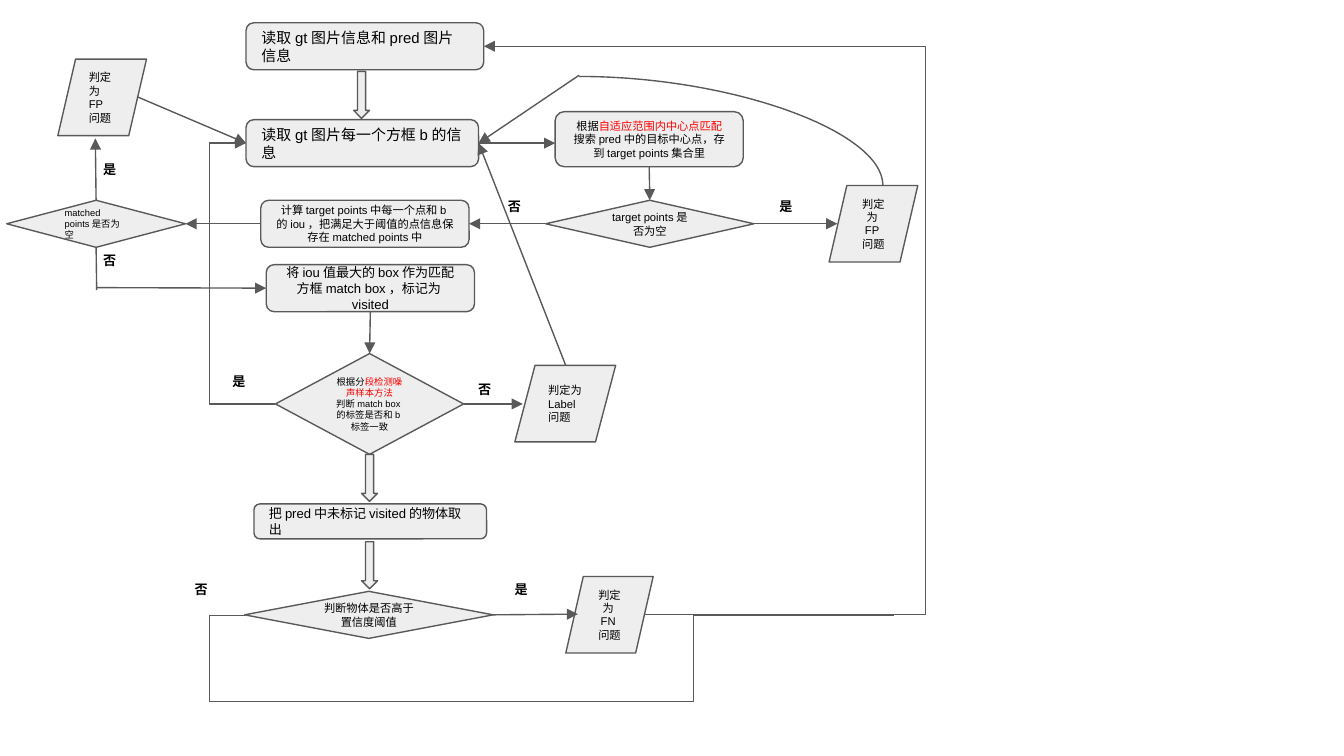
from dataclasses import dataclass
from typing import Union

import pptx
import pptx.dml.color
import pptx.enum.shapes
import pptx.enum.text
import pptx.oxml
import pptx.oxml.ns
import pptx.util

Pt = pptx.util.Pt
KIND = pptx.enum.shapes.MSO_SHAPE
LINK = pptx.enum.shapes.MSO_CONNECTOR
ALIGN = pptx.enum.text.PP_ALIGN
ANCHOR = pptx.enum.text.MSO_ANCHOR
ROUND, CHOICE, DATA = KIND.ROUNDED_RECTANGLE, KIND.FLOWCHART_DECISION, KIND.FLOWCHART_DATA
TOP, LEFT, BOTTOM, RIGHT = range(4)
COLORS = {"fill": "EEEEEE", "line": "595959", "text": "000000", "red": "FF0000"}
FONT, INSET, STROKE = "Arial", 7.2, 0.75
ROW = 25.2  # height of most steps
TALL = 41  # height of the verdicts


@dataclass
class Step:
    name: str
    kind: int
    x: float
    y: float
    w: float
    h: float
    size: float
    paras: list  # each paragraph is a list of (text, colour) runs
    mid: bool = True


@dataclass
class Link:
    start: tuple  # (x, y) or (step name, side)
    end: tuple
    head: bool = True


@dataclass
class Bend:
    start: tuple
    end: tuple
    ratio: float  # place of the turn, as a share of the width


def plain(text: str) -> list:
    return [[(text, "text")]]


STEPS = [
    Step("read", ROUND, 131.8, 12.2, 127.4, ROW, 8, plain("读取gt图片信息和pred图片信息"), False),
    Step("each", ROUND, 131.8, 64.1, 124.6, ROW, 8, plain("读取gt图片每一个方框b的信息"), False),
    Step("search", ROUND, 297.4, 59.8, 100.8, 29.5, 6, [[
        ("根据", "text"), ("自适应范围内中心点匹配", "red"),
        ("搜索pred中的目标中心点，存到target points集合里", "text")]]),
    Step("target", CHOICE, 292.3, 107.3, 111.6, ROW, 6, plain("target points是否为空")),
    Step("score", ROUND, 139.7, 107.3, 111.6, ROW, 6,
         plain("计算target points中每一个点和b的iou，把满足大于阈值的点信息保存在matched points中")),
    Step("matched", CHOICE, 3.6, 107.3, 95.8, ROW, 5, plain("matched points是否为空"), False),
    Step("right fp", DATA, 444.2, 99.4, 47.5, TALL, 6, plain("判定为FP问题")),
    Step("left fp", DATA, 31, 31.7, 47.5, TALL, 6, plain("判定为FP问题"), False),
    Step("best", ROUND, 142.6, 141.8, 111.6, ROW, 7,
         plain("将iou值最大的box作为匹配方框match box，标记为visited")),
    Step("same", CHOICE, 147.6, 189.4, 100.8, 54, 5, [
        [("根据分", "text"), ("段检测噪声样本方法", "red")],
        [("判断match box的标签是否和b标签一致", "text")]]),
    Step("label", DATA, 275.8, 195.8, 54, TALL, 6, plain("判定为Label问题"), False),
    Step("rest", ROUND, 136.1, 270, 124.6, 18.7, 7, plain("把pred中未标记visited的物体取出"), False),
    Step("sure", CHOICE, 131, 316.8, 133.2, ROW, 6, plain("判断物体是否高于置信度阈值")),
    Step("fn", DATA, 303.1, 308.9, 46.8, TALL, 6, plain("判定为FN问题")),
]
LINKS = [
    Link(("each", RIGHT), (297.4, 76.7)),
    Link(("search", BOTTOM), ("target", TOP)),
    Link(("target", RIGHT), (448.6, 119.9)),
    Link(("target", LEFT), ("score", RIGHT)),
    Link(("score", LEFT), ("matched", RIGHT)),
    Link(("matched", TOP), (51.1, 74.2)),
    Link(("matched", BOTTOM), (51.8, 155.5), False),
    Link((51.8, 154.1), ("best", LEFT)),
    Link(("best", BOTTOM), ("same", TOP)),
    Link(("same", RIGHT), (280.1, 216.4)),
    Link((73.4, 51.8), ("each", LEFT)),
    Link((310.3, 40.3), ("each", RIGHT)),
    Link((303.1, 195.8), ("each", RIGHT)),
    Link(("sure", RIGHT), (309.6, 329)),
]
BENDS = [
    Bend((147.6, 216.4), (131.8, 76.7), 2.24),
    Bend((344.9, 329.1), (259.2, 24.8), -1.76),
]
LOOP = [(131, 329.6), (112.3, 329.6), (112.3, 375.8), (371.5, 375.8), (371.5, 329.6), (478.8, 329.6)]
BLOCKS = [(189.4, 38.2), (193.7, 243.4), (193.7, 290.2)]
TAGS = [
    ("是", 410.4, 102.2), ("否", 265, 102.2), ("是", 48.2, 82.1), ("否", 48.2, 131),
    ("是", 117.4, 195.8), ("否", 249.1, 200.2), ("是", 268.6, 307.4), ("否", 97.2, 307.4),
]


def tint(name: str) -> pptx.dml.color.RGBColor:
    return pptx.dml.color.RGBColor.from_string(COLORS[name])


def stroke(item) -> None:
    item.line.color.rgb = tint("line")
    item.line.width = Pt(STROKE)


def write(frame, paras: list, size: float, align: int, bold: bool = False) -> None:
    frame.word_wrap = True
    frame.margin_left = frame.margin_right = Pt(INSET)
    frame.margin_top = frame.margin_bottom = Pt(INSET)
    for i, runs in enumerate(paras):
        para = frame.add_paragraph() if i else frame.paragraphs[0]
        para.alignment = align
        for text, color in runs:
            run = para.add_run()
            run.text = text
            run.font.name, run.font.size, run.font.bold = FONT, Pt(size), bold
            run.font.color.rgb = tint(color)


def draw_shape(shapes, kind: int, x: float, y: float, w: float, h: float):
    shape = shapes.add_shape(kind, Pt(x), Pt(y), Pt(w), Pt(h))
    shape.shadow.inherit = False
    shape.fill.solid()
    shape.fill.fore_color.rgb = tint("fill")
    stroke(shape)
    return shape


def draw_step(shapes, step: Step):
    shape = draw_shape(shapes, step.kind, step.x, step.y, step.w, step.h)
    shape.text_frame.vertical_anchor = ANCHOR.MIDDLE
    write(shape.text_frame, step.paras, step.size, ALIGN.CENTER if step.mid else ALIGN.LEFT)
    return shape


def draw_tag(shapes, text: str, x: float, y: float) -> None:
    box = shapes.add_textbox(Pt(x), Pt(y), Pt(30.2), Pt(23))
    write(box.text_frame, plain(text), 7, ALIGN.LEFT, bold=True)


def draw_line(shapes, kind: int, start: tuple, end: tuple, head: bool):
    line = shapes.add_connector(kind, *(Pt(v) for v in start + end))
    stroke(line)
    if head:
        tail = pptx.oxml.ns.qn("a:tailEnd")
        line.line.fill  # the line element holds its fill before the arrowhead
        ln = line.element.spPr.find(pptx.oxml.ns.qn("a:ln"))
        ln.append(ln.makeelement(tail, {"type": "triangle"}))
    props = line.element.spPr
    props.append(props.makeelement(pptx.oxml.ns.qn("a:effectLst"), {}))
    return line


def draw_link(shapes, link: Link, drawn: dict) -> None:
    def spot(end: tuple[Union[str, float], float]) -> tuple:
        return (0, 0) if end[0] in drawn else end

    line = draw_line(shapes, LINK.STRAIGHT, spot(link.start), spot(link.end), link.head)
    if link.start[0] in drawn:
        line.begin_connect(drawn[link.start[0]], link.start[1])
    if link.end[0] in drawn:
        line.end_connect(drawn[link.end[0]], link.end[1])


def draw_bend(shapes, bend: Bend) -> None:
    line = draw_line(shapes, LINK.ELBOW, bend.start, bend.end, True)
    guides = line.element.spPr.find(".//" + pptx.oxml.ns.qn("a:avLst"))
    value = f"val {round(bend.ratio * 100000)}"
    guides.append(guides.makeelement(pptx.oxml.ns.qn("a:gd"), {"name": "adj1", "fmla": value}))


def draw_arc(shapes, start: tuple, end: tuple) -> None:
    """Draw a quarter curve that leaves sideways and arrives from above."""
    line = draw_line(shapes, LINK.CURVE, start, end, False)
    line.element.spPr.find(pptx.oxml.ns.qn("a:prstGeom")).set("prst", "curvedConnector2")


def draw_loop(shapes, points: list) -> None:
    pen = shapes.build_freeform(Pt(points[0][0]), Pt(points[0][1]))
    pen.add_line_segments([(Pt(x), Pt(y)) for x, y in points[1:]], close=False)
    shape = pen.convert_to_shape()
    shape.shadow.inherit = False
    shape.fill.background()
    stroke(shape)


def main() -> None:
    deck = pptx.Presentation()
    deck.slide_width, deck.slide_height = Pt(720), Pt(405)
    shapes = deck.slides.add_slide(deck.slide_layouts[6]).shapes
    drawn = {step.name: draw_step(shapes, step) for step in STEPS}
    for x, y in BLOCKS:
        draw_shape(shapes, KIND.DOWN_ARROW, x, y, 8.6, ROW)
    for link in LINKS:
        draw_link(shapes, link, drawn)
    for bend in BENDS:
        draw_bend(shapes, bend)
    draw_arc(shapes, (310.3, 41), (473, 99.4))
    draw_loop(shapes, LOOP)
    for tag in TAGS:
        draw_tag(shapes, *tag)
    deck.save("out.pptx")


if __name__ == "__main__":
    main()
